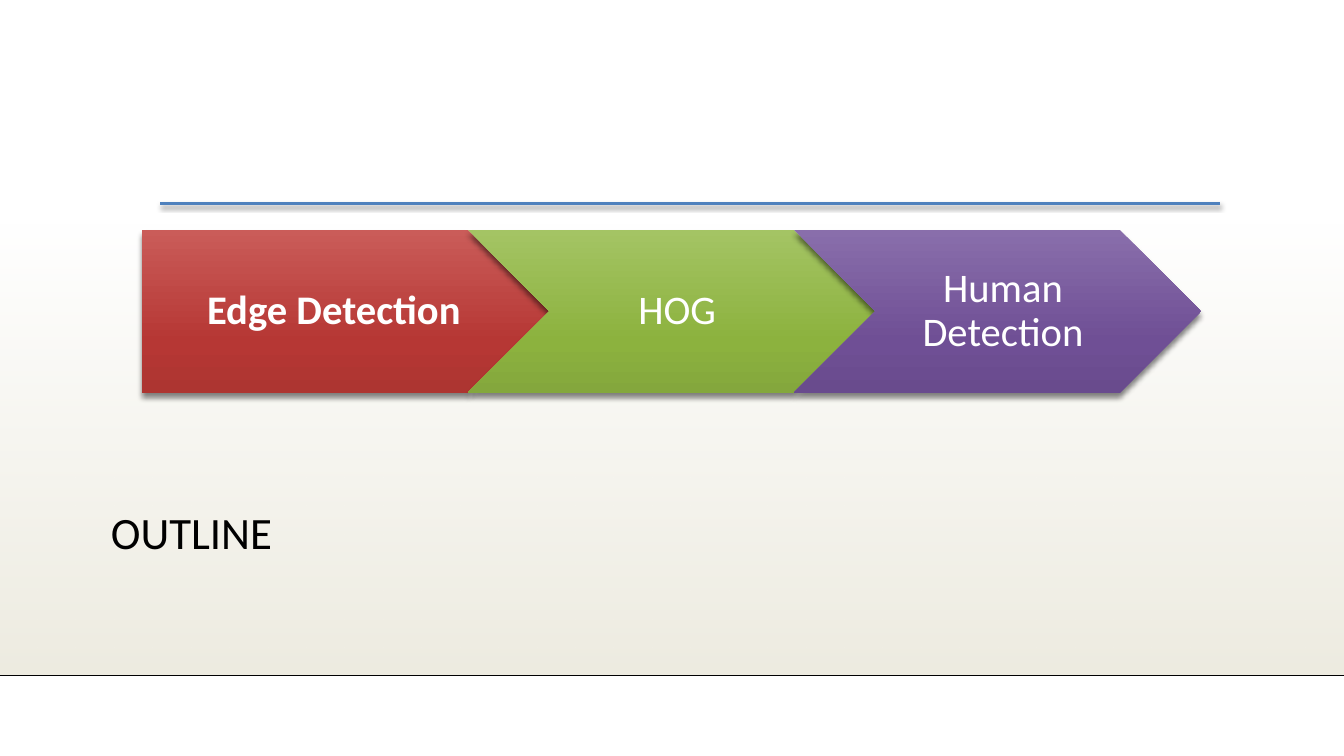
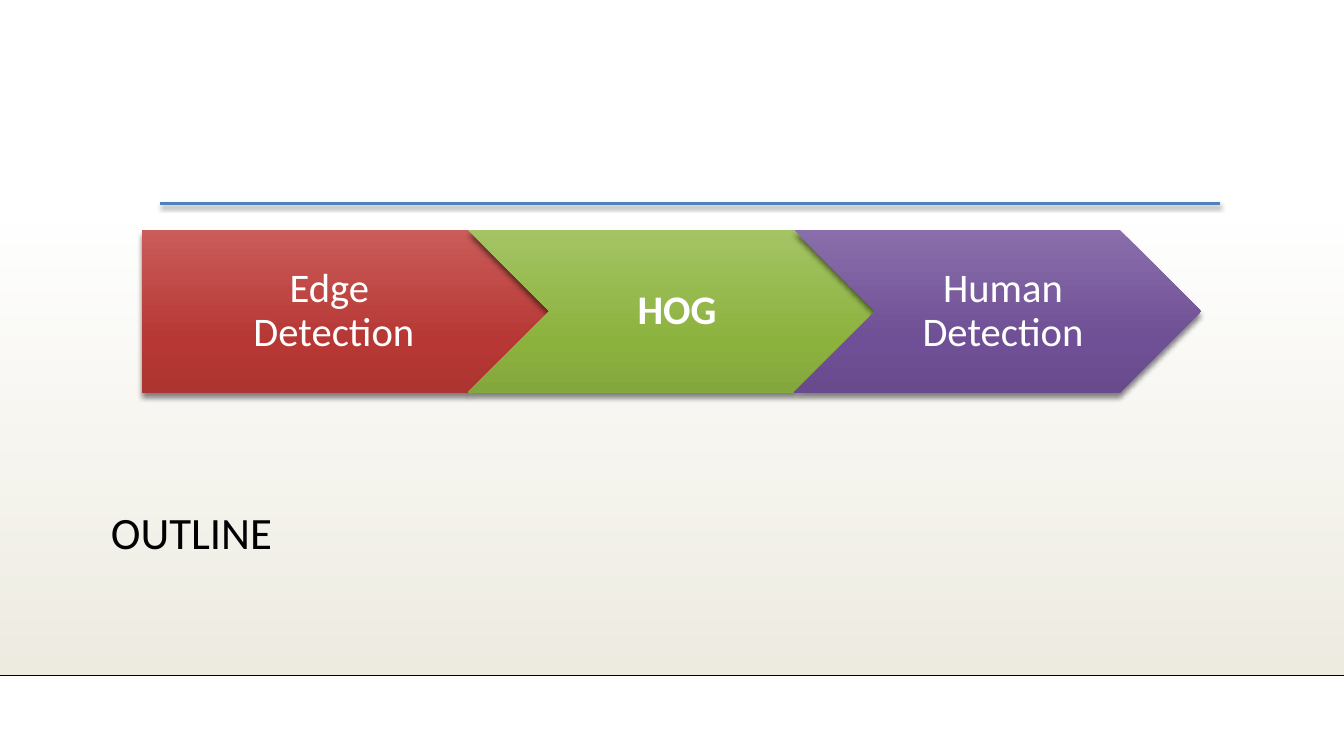
from dataclasses import dataclass

from lxml import etree
from pptx import Presentation
from pptx.dml.color import RGBColor
from pptx.enum.shapes import MSO_CONNECTOR as Connector, MSO_SHAPE as Preset
from pptx.enum.text import MSO_ANCHOR as Anchor, MSO_AUTO_SIZE as AutoSize, PP_ALIGN as Align
from pptx.oxml import parse_xml
from pptx.oxml.ns import nsdecls, qn
from pptx.util import Inches, Pt


@dataclass(frozen=True)
class Theme:
    font: str = "Calibri"
    title_size: int = 32
    stage_size: int = 29
    line_spacing: float = 0.9
    text: str = "000000"
    stage_text: str = "FFFFFF"
    rule: str = "4F81BD"
    floor: str = "000001"
    # Gradient stops: position, colour and opacity in percent, from top to bottom
    backdrop: tuple = ((0, "EEECE1", 0), (100, "EEECE1", 100))
    red: tuple = ((0, "CA5C59", 100), (69, "B63734", 100), (100, "AD3531", 100))
    green: tuple = ((0, "A4C464", 100), (69, "8CB23E", 100), (100, "84A73D", 100))
    purple: tuple = ((0, "896EAB", 100), (69, "6F4F95", 100), (100, "694B8D", 100))
    # Shadows: opacity in percent, blur and distance in points
    rule_shadow: tuple = (35, 3.1, 1.8)
    stage_shadow: tuple = (48, 4, 4)


THEME = Theme()

SLIDE_WIDTH, SLIDE_HEIGHT = 13.33, 7.5
MARGIN = 1
TITLE_TOP, TITLE_HEIGHT = 5.02, 1.42
BACKDROP_TOP, FLOOR = 2.21, 6.7
RULE_LEFT, RULE_RIGHT, RULE_TOP = 1.59, 12.1, 2.02

STAGE_LEFT, STAGE_TOP, STAGE_WIDTH = 1.41, 2.28, 4.04
STAGE_HEIGHT = STAGE_WIDTH * 0.4
STAGE_STEP = STAGE_WIDTH * 0.8  # each stage tucks into the one before it

# Preset, gradient and left inset of each stage
STAGES = (
    (Preset.PENTAGON, THEME.red, 0.22),
    (Preset.CHEVRON, THEME.green, 0.16),
    (Preset.CHEVRON, THEME.purple, 0.16),
)

# Labels of the stages and the index of the current one
OUTLINES = (
    (("Edge Detection", "HOG", "Human Detection"), 0),
    (("Edge \nDetection", "HOG", "Human Detection"), 1),
)


def fill_gradient(shape, stops):
    """Fill a shape from top to bottom through the given stops."""
    shape.fill.background()
    gradient = parse_xml(
        f'<a:gradFill {nsdecls("a")} rotWithShape="1"><a:gsLst/>'
        '<a:lin ang="5400000" scaled="0"/></a:gradFill>'
    )
    for position, color, opacity in stops:
        stop = etree.SubElement(gradient[0], qn("a:gs"), pos=str(position * 1000))
        fill_color = etree.SubElement(stop, qn("a:srgbClr"), val=color)
        if opacity < 100:
            etree.SubElement(fill_color, qn("a:alpha"), val=str(opacity * 1000))
    properties = shape.element.spPr
    properties.replace(properties.find(qn("a:noFill")), gradient)


def set_shadow(shape, shadow=None):
    """Give a shape a downward shadow, or none at all."""
    effects = etree.SubElement(shape.element.spPr, qn("a:effectLst"))
    if shadow:
        opacity, blur, distance = shadow
        outer = etree.SubElement(
            effects, qn("a:outerShdw"), blurRad=str(Pt(blur)), dist=str(Pt(distance)),
            dir="5400000", rotWithShape="0",
        )
        color = etree.SubElement(outer, qn("a:srgbClr"), val="000000")
        etree.SubElement(color, qn("a:alpha"), val=str(opacity * 1000))


def format_text(text_frame, size, color, alignment, bold=False):
    for paragraph in text_frame.paragraphs:
        paragraph.alignment = alignment
        paragraph.line_spacing = THEME.line_spacing
        for run in paragraph.runs:
            run.font.name = THEME.font
            run.font.size = Pt(size)
            run.font.bold = bold
            run.font.color.rgb = RGBColor.from_string(color)


def add_line(slide, left, right, top, color, width, shadow=None):
    line = slide.shapes.add_connector(
        Connector.STRAIGHT, Inches(left), Inches(top), Inches(right), Inches(top)
    )
    line.line.color.rgb = RGBColor.from_string(color)
    line.line.width = Pt(width)
    set_shadow(line, shadow)
    return line


def add_gradient_shape(slide, preset, left, top, width, height, stops, shadow=None):
    shape = slide.shapes.add_shape(
        preset, Inches(left), Inches(top), Inches(width), Inches(height)
    )
    fill_gradient(shape, stops)
    shape.line.fill.background()
    set_shadow(shape, shadow)
    return shape


def move_backdrop_to_layout(slide):
    """Draw the shared backdrop on a slide, then hand it to the slide's layout."""
    backdrop = add_gradient_shape(
        slide, Preset.RECTANGLE, 0, BACKDROP_TOP, SLIDE_WIDTH, FLOOR - BACKDROP_TOP,
        THEME.backdrop,
    )
    floor = add_line(slide, 0, SLIDE_WIDTH, FLOOR, THEME.floor, 1)
    for shape in (backdrop, floor):
        slide.slide_layout.shapes.element.append(shape.element)


def set_title(slide, text):
    title = slide.shapes.title
    title.left, title.top = Inches(MARGIN), Inches(TITLE_TOP)
    title.width = Inches(SLIDE_WIDTH - 2 * MARGIN)
    title.height = Inches(TITLE_HEIGHT)
    text_frame = title.text_frame
    text_frame.text = text
    text_frame.auto_size = AutoSize.NONE
    text_frame.vertical_anchor = Anchor.TOP
    format_text(text_frame, THEME.title_size, THEME.text, Align.LEFT)


def add_stage(slide, index, label, current):
    preset, stops, inset = STAGES[index]
    stage = add_gradient_shape(
        slide, preset, STAGE_LEFT + index * STAGE_STEP, STAGE_TOP,
        STAGE_WIDTH, STAGE_HEIGHT, stops, THEME.stage_shadow,
    )
    text_frame = stage.text_frame
    text_frame.text = label
    text_frame.word_wrap = True
    text_frame.vertical_anchor = Anchor.MIDDLE
    text_frame.margin_left, text_frame.margin_right = Inches(inset), Inches(0.05)
    text_frame.margin_top = text_frame.margin_bottom = Inches(0.11)
    format_text(text_frame, THEME.stage_size, THEME.stage_text, Align.CENTER, current)


def add_outline(slide, labels, current):
    add_line(slide, RULE_LEFT, RULE_RIGHT, RULE_TOP, THEME.rule, 2.5, THEME.rule_shadow)
    set_title(slide, "OUTLINE")
    for index, label in enumerate(labels):
        add_stage(slide, index, label, index == current)


def main():
    presentation = Presentation()
    presentation.slide_width = Inches(SLIDE_WIDTH)
    presentation.slide_height = Inches(SLIDE_HEIGHT)
    title_only = presentation.slide_layouts.get_by_name("Title Only")
    slides = [presentation.slides.add_slide(title_only) for _ in OUTLINES]
    move_backdrop_to_layout(slides[0])
    for slide, (labels, current) in zip(slides, OUTLINES):
        add_outline(slide, labels, current)
    presentation.save("out.pptx")


if __name__ == "__main__":
    main()
